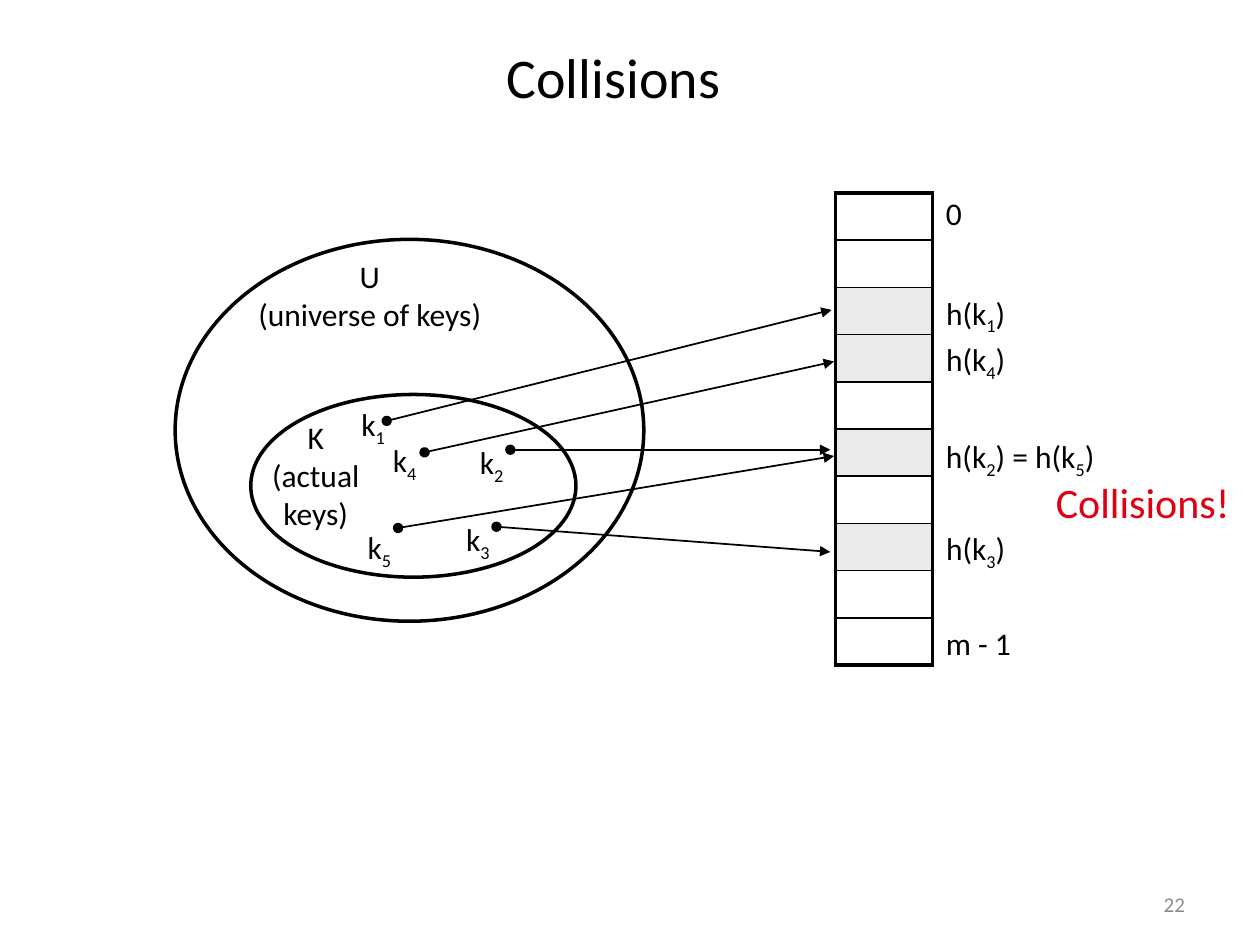
from lxml import etree
from pptx import Presentation
from pptx.dml.color import RGBColor
from pptx.enum.shapes import MSO_CONNECTOR, MSO_SHAPE
from pptx.enum.text import MSO_ANCHOR, PP_ALIGN
from pptx.oxml.ns import qn
from pptx.util import Pt

LEFT, CENTER, RIGHT = PP_ALIGN.LEFT, PP_ALIGN.CENTER, PP_ALIGN.RIGHT
TOP, MIDDLE = MSO_ANCHOR.TOP, MSO_ANCHOR.MIDDLE
OVAL, STRAIGHT = MSO_SHAPE.OVAL, MSO_CONNECTOR.STRAIGHT
COLORS = {"ink": "000000", "used": "EAEAEA", "alert": "DD0111", "number": "8C8C8C"}

prs = Presentation()
prs.slide_width, prs.slide_height = Pt(720), Pt(540)
slide = prs.slides.add_slide(prs.slide_layouts[6])
shapes = slide.shapes


def add_label(text, x, y, w, h, size=18, color="ink", align=LEFT, anchor=TOP, wrap=False):
    frame = shapes.add_textbox(Pt(x), Pt(y), Pt(w), Pt(h)).text_frame
    frame.word_wrap = wrap
    frame.vertical_anchor = anchor
    frame.text = text.replace("_", "")
    for paragraph, line in zip(frame.paragraphs, text.split("\n")):
        paragraph.alignment = align
        pieces = line.split("_")
        paragraph.runs[0].text = pieces[0]
        for piece in pieces[1:]:
            paragraph.add_run().text = piece
        for i, run in enumerate(paragraph.runs):
            run.font.name = "Calibri"
            run.font.size = Pt(size)
            run.font.color.rgb = RGBColor.from_string(COLORS[color])
            if i % 2:
                run.font._element.set("baseline", "-25000")


def add_border(cell, position, side, width):
    line = etree.Element(qn(f"a:ln{side}"), w=str(Pt(width)))
    fill = etree.SubElement(line, qn("a:solidFill"))
    etree.SubElement(fill, qn("a:srgbClr"), val=COLORS["ink"])
    cell._tc.get_or_add_tcPr().insert(position, line)


add_label("22", 516.2, 504, 168, 25.2, 12, "number", RIGHT, MIDDLE, True)
add_label("Collisions", 26.6, 7.9, 648, 71.3, 32, align=CENTER, anchor=MIDDLE, wrap=True)

for x, y, w, h in [(100.1, 136.8, 267.8, 218.2), (143.3, 225.4, 185.8, 104.4)]:
    key_set = shapes.add_shape(OVAL, Pt(x), Pt(y), Pt(w), Pt(h))
    key_set.shadow.inherit = False
    key_set.fill.background()
    key_set.line.color.rgb = RGBColor.from_string(COLORS["ink"])
    key_set.line.width = Pt(2)

add_label("U\n(universe of keys)", 133.2, 143.3, 156.2, 50.4, align=CENTER)
add_label("K\n(actual\nkeys)", 146.2, 235.4, 68.4, 72, align=CENTER)

SLOTS, USED = 10, {2, 3, 5, 7}
slots = shapes.add_table(SLOTS, 1, Pt(477.4), Pt(110.2), Pt(55.4), Pt(270)).table
slots.first_row = slots.horz_banding = False
for i in range(SLOTS):
    slots.rows[i].height = Pt(27)
    cell = slots.cell(i, 0)
    cell.margin_top = cell.margin_bottom = 0
    if i in USED:
        cell.fill.solid()
        cell.fill.fore_color.rgb = RGBColor.from_string(COLORS["used"])
    else:
        cell.fill.background()
    widths = {"L": 2.25, "R": 2.25, "T": 1 if i else 2.25, "B": 1 if i < SLOTS - 1 else 2.25}
    for position, (side, width) in enumerate(widths.items()):
        add_border(cell, position, side, width)

slot_labels = [
    ("0", 107.3, 24.5), ("m - 1", 352.8, 55.4), ("h(k_3_)", 298.8, 51.8),
    ("h(k_2_) = h(k_5_)", 246.2, 115.2), ("h(k_1_)", 164.2, 51.8), ("h(k_4_)", 190.8, 51.8),
]
for text, y, w in slot_labels:
    add_label(text, 533.5, y, w, 28.8)

hashes = [
    (221, 240.5, 475.2, 177.1), (242.6, 258.5, 476.6, 206.6), (291.6, 257, 474.5, 257),
    (227.5, 301.7, 476.6, 260.6), (283.7, 301, 474.5, 315.4),
]
for ends in hashes:
    arrow = shapes.add_connector(STRAIGHT, *[Pt(end) for end in ends])
    arrow.line.color.rgb = RGBColor.from_string(COLORS["ink"])
    arrow.line.width = Pt(1)
    line = arrow.line._get_or_add_ln()
    etree.SubElement(line, qn("a:headEnd"), type="oval")
    etree.SubElement(line, qn("a:tailEnd"), type="triangle")
    etree.SubElement(arrow._element.spPr, qn("a:effectLst"))

keys = [(1, 199.4, 228.2), (4, 217.4, 248.4), (2, 267.1, 249.8), (5, 203, 298.1), (3, 259.2, 293.8)]
for number, x, y in keys:
    add_label(f"k_{number}", x, y, 30.2, 28.8)

add_label("Collisions!", 596.2, 268.6, 123.8, 36, 24, "alert")

prs.save("out.pptx")
